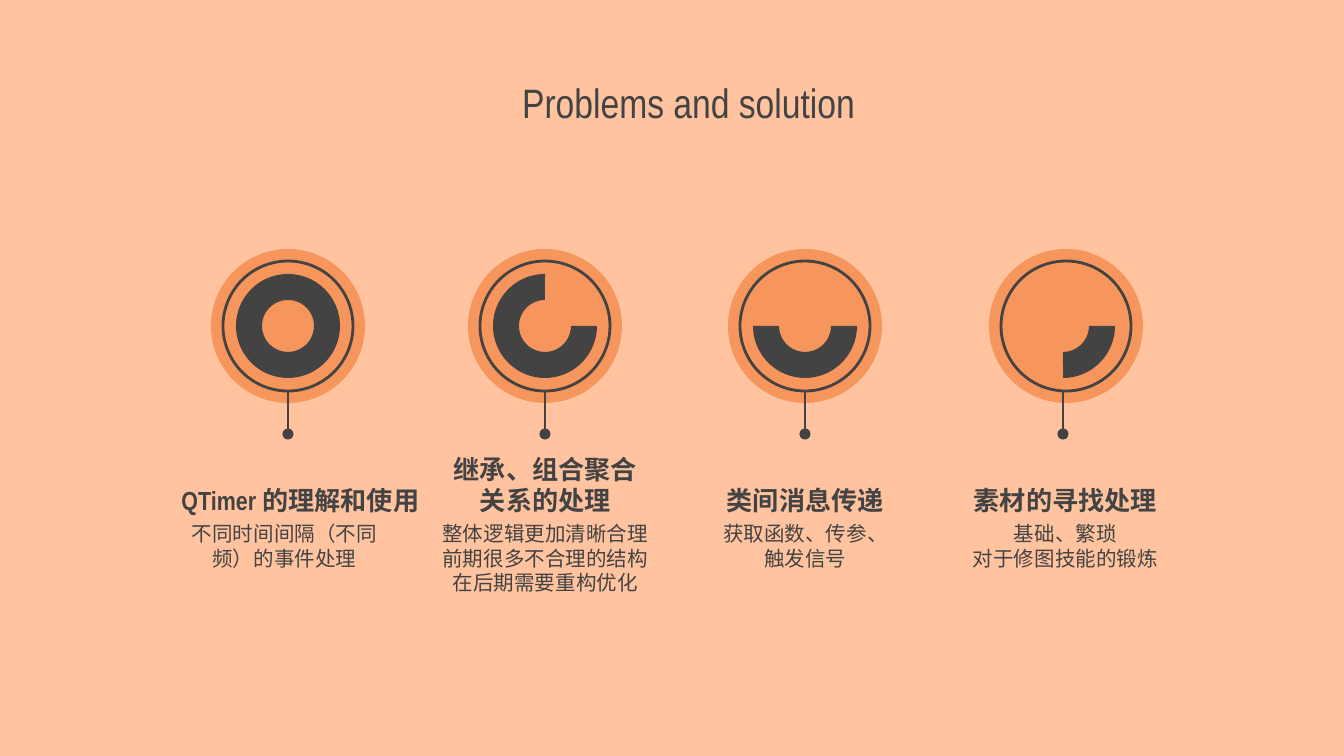
from lxml.etree import SubElement
from pptx import Presentation
from pptx.dml.color import RGBColor
from pptx.enum.shapes import MSO_CONNECTOR, MSO_SHAPE
from pptx.enum.text import MSO_ANCHOR, PP_ALIGN
from pptx.oxml.ns import qn
from pptx.util import Emu, Pt

PEACH, ORANGE, DARK = "FFC39F", "F7965C", "434343"
DISC, CIRCLE, RING = 154, 130, 104  # diameters
STEM = 43

# disc centre, ring centre, ring sweep in degrees, heading box, body left, texts
PROBLEMS = [
    (288, 288, 360, (175, 251), 181, "QTimer 的理解和使用",
     ["不同时间间隔（不同频）的事件处理"]),
    (545, 545, 270, (442, 207), 442, "继承、组合聚合关系的处理",
     ["整体逻辑更加清晰合理", "前期很多不合理的结构在后期需要重构优化"]),
    (805, 805, 180, (702, 207), 702, "类间消息传递",
     ["获取函数、传参、", "触发信号"]),
    (1066, 1063, 90, (962, 207), 962, "素材的寻找处理",
     ["基础、繁琐", "对于修图技能的锻炼"]),
]


def px(length):
    return Emu(round(length * 914400 / 134.4))


def color(hex_code):
    return RGBColor.from_string(hex_code)


def add_round(slide, preset, center_x, center_y, diameter, fill=None):
    """Place a round shape by its centre: filled, or outlined when fill is None."""
    left, top = center_x - diameter / 2, center_y - diameter / 2
    shape = slide.shapes.add_shape(preset, px(left), px(top), px(diameter), px(diameter))
    shape.shadow.inherit = False
    if fill:
        shape.fill.solid()
        shape.fill.fore_color.rgb = color(fill)
        shape.line.fill.background()
    else:
        shape.fill.background()
        shape.line.color.rgb = color(DARK)
        shape.line.width = Pt(1.5)
    return shape


def add_ring(slide, center_x, center_y, sweep):
    """Draw a ring that starts at three o'clock and runs clockwise."""
    if sweep == 360:
        add_round(slide, MSO_SHAPE.DONUT, center_x, center_y, RING, DARK)
        return
    arc = add_round(slide, MSO_SHAPE.BLOCK_ARC, center_x, center_y, RING, DARK)
    arc.adjustments[0] = 0
    arc.adjustments[1] = sweep * 60000 / 100000
    arc.adjustments[2] = 0.25


def add_stem(slide, x, top):
    stem = slide.shapes.add_connector(
        MSO_CONNECTOR.STRAIGHT, px(x), px(top), px(x), px(top + STEM))
    stem.line.color.rgb = color(DARK)
    stem.line.width = Pt(1.5)
    SubElement(stem.line._get_or_add_ln(), qn("a:tailEnd"), type="oval")
    SubElement(stem._element.spPr, qn("a:effectLst"))


def add_text(slide, box, lines, font_name, size, bold=False, anchor=MSO_ANCHOR.TOP):
    frame = slide.shapes.add_textbox(*map(px, box)).text_frame
    frame.word_wrap = True
    frame.vertical_anchor = anchor
    frame.margin_left = frame.margin_right = frame.margin_bottom = 0
    frame.margin_top = px(1)
    frame.text = "\n".join(lines)
    for paragraph in frame.paragraphs:
        paragraph.alignment = PP_ALIGN.CENTER
        font = paragraph.font
        font.name, font.size, font.bold = font_name, Pt(size), bold
        font.color.rgb = color(DARK)


def add_problem(slide, top, disc_x, ring_x, sweep, heading_span, body_left, heading, body):
    """Draw one column: dial, stem, heading and explanation."""
    center_y = top + DISC / 2
    add_round(slide, MSO_SHAPE.OVAL, disc_x, center_y, DISC, ORANGE)
    add_round(slide, MSO_SHAPE.OVAL, disc_x, center_y, CIRCLE)
    add_ring(slide, ring_x, center_y, sweep)
    add_stem(slide, ring_x, center_y + CIRCLE / 2)
    heading_left, heading_width = heading_span
    add_text(slide, (heading_left, top + 229, heading_width, 38), [heading],
             "Arial Narrow", 14, bold=True, anchor=MSO_ANCHOR.BOTTOM)
    add_text(slide, (body_left, top + 271, 207, 67), body, "Lato", 11)


def main():
    presentation = Presentation()
    presentation.slide_width, presentation.slide_height = px(1344), px(756)
    slide = presentation.slides.add_slide(presentation.slide_layouts[6])
    slide.background.fill.solid()
    slide.background.fill.fore_color.rgb = color(PEACH)
    add_text(slide, (60, 68, 1257, 59), ["Problems and solution"],
             "Arial Narrow", 22, anchor=MSO_ANCHOR.BOTTOM)
    for problem in PROBLEMS:
        add_problem(slide, 249, *problem)
    presentation.save("out.pptx")


if __name__ == "__main__":
    main()
